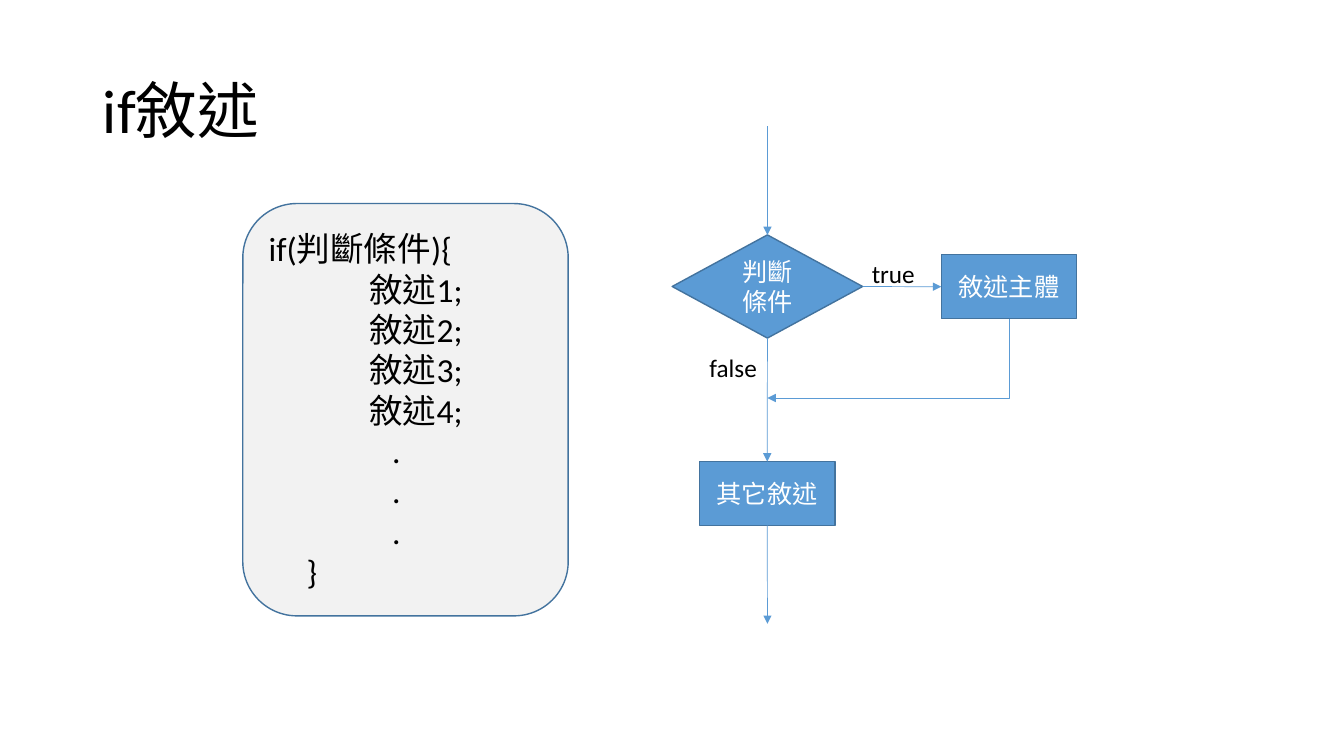
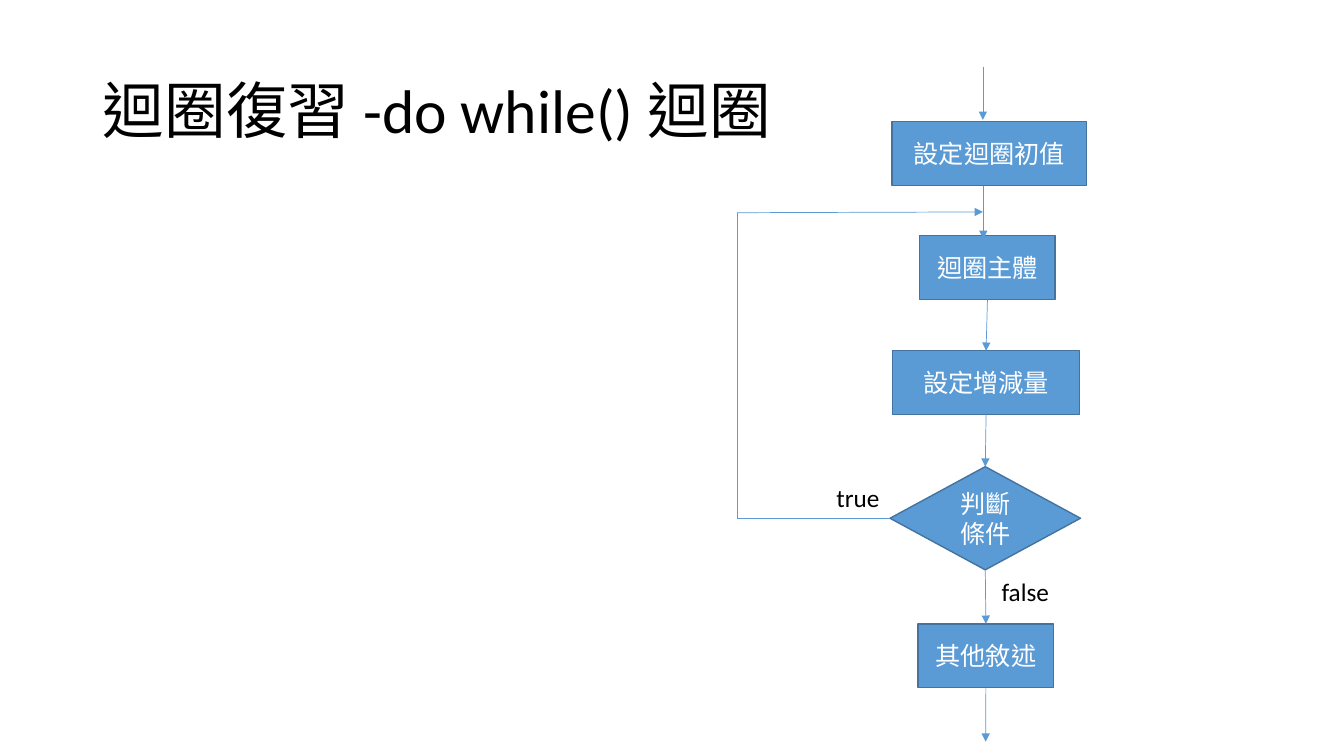
from pptx import Presentation
from pptx.dml.color import RGBColor
from pptx.enum.lang import MSO_LANGUAGE_ID
from pptx.enum.shapes import MSO_CONNECTOR, MSO_SHAPE
from pptx.enum.text import MSO_ANCHOR, MSO_AUTO_SIZE, PP_ALIGN
from pptx.oxml.ns import qn
from pptx.util import Cm, Pt
from lxml import etree

RECTANGLE = MSO_SHAPE.RECTANGLE
DECISION = MSO_SHAPE.FLOWCHART_DECISION
ROUNDED = MSO_SHAPE.ROUNDED_RECTANGLE
STRAIGHT, ELBOW = MSO_CONNECTOR.STRAIGHT, MSO_CONNECTOR.ELBOW
LEFT, CENTER = PP_ALIGN.LEFT, PP_ALIGN.CENTER
MIDDLE = MSO_ANCHOR.MIDDLE
FIT_SHAPE = MSO_AUTO_SIZE.SHAPE_TO_FIT_TEXT
CHINESE = MSO_LANGUAGE_ID.TRADITIONAL_CHINESE
TOP_SIDE, LEFT_SIDE, BOTTOM_SIDE, RIGHT_SIDE = range(4)

rgb = RGBColor.from_string
BLUE, OUTLINE, GREY = rgb("5B9BD5"), rgb("43739E"), rgb("F2F2F2")
BLACK, WHITE = rgb("000000"), rgb("FFFFFF")

TITLE_AREA = (2.34, 1.02, 29.21, 3.68)
BOX_HEIGHT = 1.61
BOX_WIDTH = 3.41
DECISION_SIZE = (4.8, 2.6)
LABEL_HEIGHT = 1.02
STATEMENT_INDENT, DOT_INDENT, BRACE_INDENT = 2.54, 3.11, 0.96


def write_text(frame, lines, size, color, alignment):
    """Write (text, indent) lines into a text frame."""
    font_format = {"name": "Calibri", "size": Pt(size), "language_id": CHINESE}
    for index, (text, indent) in enumerate(lines):
        paragraph = frame.add_paragraph() if index else frame.paragraphs[0]
        paragraph.alignment = alignment
        if indent:
            paragraph._p.get_or_add_pPr().set("marL", str(Cm(indent)))
        run = paragraph.add_run()
        run.text = text
        for name, value in font_format.items():
            setattr(run.font, name, value)
        run.font.color.rgb = color


def add_block(slide, kind, area, fill, lines, size, color, alignment):
    """Add an outlined shape with text."""
    shape = slide.shapes.add_shape(kind, *map(Cm, area))
    shape.shadow.inherit = False
    shape.fill.solid()
    shape.fill.fore_color.rgb = fill
    shape.line.color.rgb = OUTLINE
    shape.line.width = Pt(1)
    shape.text_frame.vertical_anchor = MIDDLE
    write_text(shape.text_frame, lines, size, color, alignment)
    return shape


# Code sample: text and indent of each line
code_lines = [("if(判斷條件){", 0)]
code_lines += [(f"敘述{number};", STATEMENT_INDENT) for number in range(1, 5)]
code_lines += [(".", DOT_INDENT)] * 3 + [("}", BRACE_INDENT)]

# Line ends are points, or a box name with a side
slides = [
    {
        "title": "if敘述",
        "code": (6.12, 5.13, 8.2, 10.39),
        "boxes": {
            "condition": (DECISION, 16.94, 5.92, *DECISION_SIZE, "判斷條件"),
            "body": (RECTANGLE, 23.72, 6.42, BOX_WIDTH, BOX_HEIGHT, "敘述主體"),
            "other": (RECTANGLE, 17.63, 11.63, BOX_WIDTH, BOX_HEIGHT, "其它敘述"),
        },
        "lines": [
            (STRAIGHT, (19.34, 3.18), ("condition", TOP_SIDE), True),
            (STRAIGHT, ("condition", RIGHT_SIDE), ("body", LEFT_SIDE), True),
            (STRAIGHT, ("condition", BOTTOM_SIDE), ("other", TOP_SIDE), True),
            (ELBOW, (25.43, 8.03), (19.34, 10.03), True),
            (STRAIGHT, ("other", BOTTOM_SIDE), (19.34, 15.72), True),
        ],
        "labels": [("true", 21.72, 6.38, 1.63), ("false", 17.63, 8.76, 1.73)],
    },
    {
        "title": "迴圈復習 -do while() 迴圈",
        "boxes": {
            "start": (RECTANGLE, 22.48, 3.07, 4.9, BOX_HEIGHT, "設定迴圈初值"),
            "body": (RECTANGLE, 23.18, 5.94, BOX_WIDTH, BOX_HEIGHT, "迴圈主體"),
            "step": (RECTANGLE, 22.5, 8.84, 4.7, BOX_HEIGHT, "設定增減量"),
            "condition": (DECISION, 22.43, 11.76, *DECISION_SIZE, "判斷條件"),
            "other": (RECTANGLE, 23.14, 15.72, BOX_WIDTH, BOX_HEIGHT, "其他敘述"),
        },
        "lines": [
            (STRAIGHT, (24.77, 1.68), (24.77, 3.02), True),
            (STRAIGHT, (24.78, 4.68), (24.78, 6.02), True),
            (STRAIGHT, ("body", BOTTOM_SIDE), ("step", TOP_SIDE), True),
            (STRAIGHT, ("step", BOTTOM_SIDE), ("condition", TOP_SIDE), True),
            (STRAIGHT, ("condition", BOTTOM_SIDE), ("other", TOP_SIDE), True),
            (STRAIGHT, ("other", BOTTOM_SIDE), (24.84, 18.69), True),
            (STRAIGHT, ("condition", LEFT_SIDE), (18.57, 13.06), False),
            (STRAIGHT, (18.57, 13.06), (18.57, 5.36), False),
            (STRAIGHT, (18.57, 5.36), (24.77, 5.34), True),
        ],
        "labels": [("true", 20.83, 12.04, 1.63), ("false", 24.99, 14.4, 1.73)],
    },
]

presentation = Presentation()
presentation.slide_width, presentation.slide_height = Cm(33.87), Cm(19.05)
title_layout = presentation.slide_layouts[5]

for content in slides:
    slide = presentation.slides.add_slide(title_layout)

    # Title
    title = slide.shapes.title
    for name, length in zip(("left", "top", "width", "height"), TITLE_AREA):
        setattr(title, name, Cm(length))
    title.text_frame.vertical_anchor = MIDDLE
    write_text(title.text_frame, [(content["title"], 0)], 44, BLACK, LEFT)
    title.text_frame.paragraphs[0].line_spacing = 0.9

    # Code panel
    if "code" in content:
        add_block(slide, ROUNDED, content["code"], GREY, code_lines, 24, BLACK, LEFT)

    # Flowchart boxes
    boxes = {}
    for name, (kind, *area, text) in content["boxes"].items():
        boxes[name] = add_block(slide, kind, area, BLUE, [(text, 0)], 18, WHITE, CENTER)

    # Flowchart lines
    for kind, begin, end, has_arrow in content["lines"]:
        begin_point = (0, 0) if begin[0] in boxes else begin
        end_point = (0, 0) if end[0] in boxes else end
        connector = slide.shapes.add_connector(kind, *map(Cm, begin_point + end_point))
        if begin[0] in boxes:
            connector.begin_connect(boxes[begin[0]], begin[1])
        if end[0] in boxes:
            connector.end_connect(boxes[end[0]], end[1])
        connector.line.color.rgb = BLUE
        connector.line.width = Pt(0.5)
        properties = connector._element.spPr
        if has_arrow:
            outline = connector.line._get_or_add_ln()
            etree.SubElement(outline, qn("a:tailEnd")).set("type", "triangle")
        etree.SubElement(properties, qn("a:effectLst"))

        # A single bend, down and then left, is a quarter turn of the preset
        if kind == ELBOW:
            drop, run_length = end[1] - begin[1], begin[0] - end[0]
            properties.find(qn("a:prstGeom")).set("prst", "bentConnector2")
            transform = properties.find(qn("a:xfrm"))
            transform.attrib.clear()
            transform.set("rot", "5400000")
            connector.left = Cm((begin[0] + end[0] - drop) / 2)
            connector.top = Cm((begin[1] + end[1] - run_length) / 2)
            connector.width, connector.height = Cm(drop), Cm(run_length)

    # Branch labels
    for text, left, top, width in content["labels"]:
        label = slide.shapes.add_textbox(*map(Cm, (left, top, width, LABEL_HEIGHT)))
        label.text_frame.word_wrap = False
        label.text_frame.auto_size = FIT_SHAPE
        write_text(label.text_frame, [(text, 0)], 18, BLACK, LEFT)

presentation.save("out.pptx")
